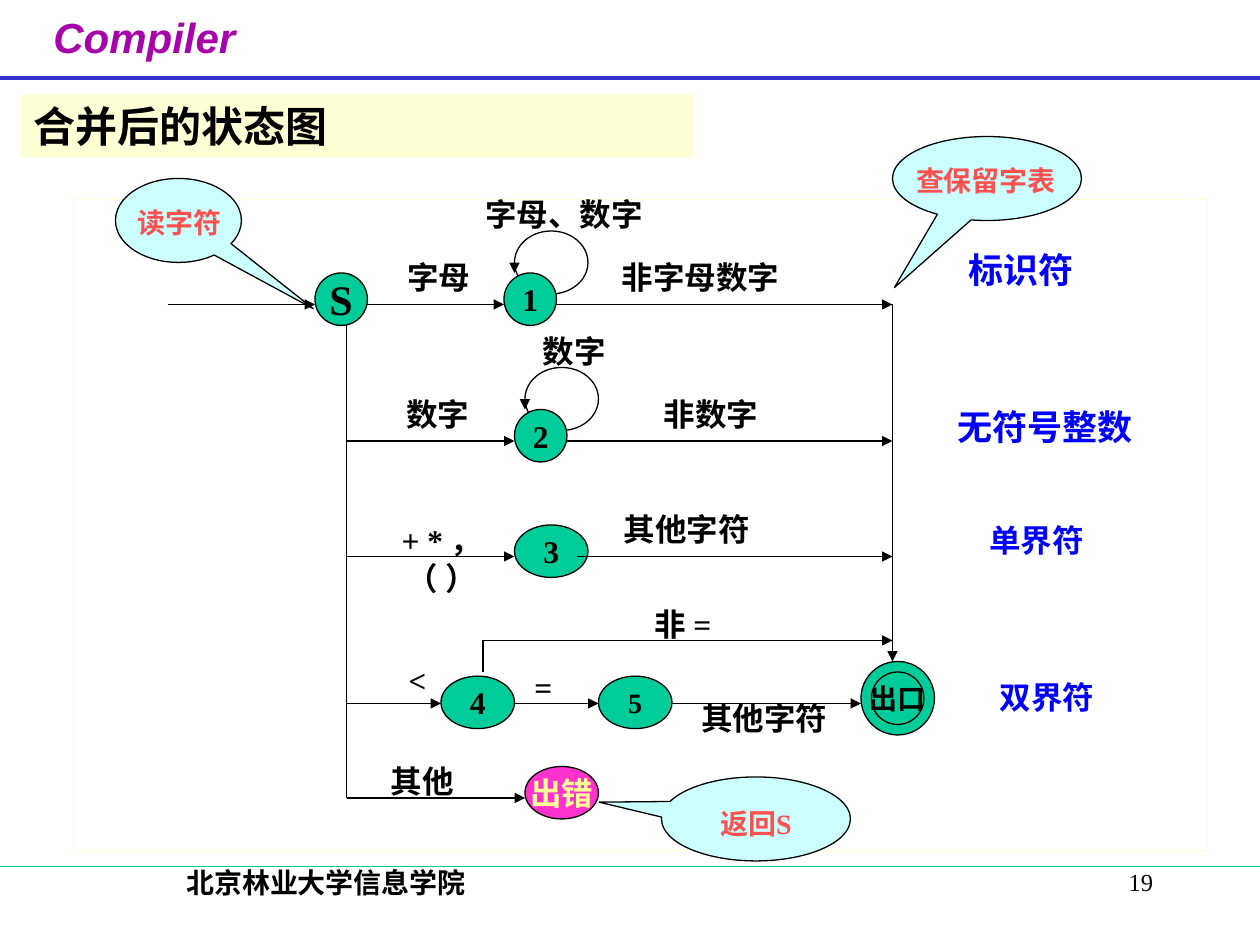
from typing import NamedTuple

from lxml import etree
from pptx import Presentation
from pptx.dml.color import RGBColor
from pptx.enum.shapes import MSO_CONNECTOR, MSO_SHAPE
from pptx.enum.text import MSO_ANCHOR, PP_ALIGN
from pptx.oxml.ns import qn
from pptx.util import Emu, Pt

PX = 7620  # 120 px to the inch
OVAL, RECT = MSO_SHAPE.OVAL, MSO_SHAPE.RECTANGLE
CALLOUT = MSO_SHAPE.OVAL_CALLOUT
STRAIGHT = MSO_CONNECTOR.STRAIGHT
LEFT, CENTER, RIGHT = PP_ALIGN.LEFT, PP_ALIGN.CENTER, PP_ALIGN.RIGHT
TOP, MIDDLE = MSO_ANCHOR.TOP, MSO_ANCHOR.MIDDLE

BLACK, GREEN, PINK, CREAM = "000000", "00CC99", "FF33CC", "FFFFD5"
BLUE, RED, CYAN, YELLOW = "0000FF", "FF5050", "CCFFFF", "FFFF99"
SERIF = "Times New Roman"


class Box(NamedTuple):
    x: int
    y: int
    w: int
    h: int


class Label(NamedTuple):
    text: str
    box: Box
    size: int = 18
    color: str = BLACK


class Node(NamedTuple):
    text: str
    box: Box
    size: int = 18
    fill: str = GREEN
    color: str = BLACK


class Line(NamedTuple):
    x1: int
    y1: int
    x2: int
    y2: int
    arrow: bool = True


class Callout(NamedTuple):
    box: Box
    tip: tuple[float, float]
    label: Label


def rgb(value: str) -> RGBColor:
    return RGBColor.from_string(value)


def emu(*lengths: int) -> list[Emu]:
    return [Emu(n * PX) for n in lengths]


def write(sp, text: str, *, size=18, color=BLACK, font=SERIF, bold=True,
          italic=False, align=CENTER, anchor=MIDDLE, wrap=False) -> None:
    tf = sp.text_frame
    tf.word_wrap = wrap
    tf.vertical_anchor = anchor
    tf.text = text
    for p in tf.paragraphs:
        p.alignment = align
        for r in p.runs:
            r.font.name, r.font.size = font, Pt(size)
            r.font.bold, r.font.italic = bold, italic
            r.font.color.rgb = rgb(color)


def add_text(s, text: str, box: Box, **fmt) -> None:
    write(s.shapes.add_textbox(*emu(*box)), text, **fmt)


def add_shape(s, kind, box: Box, fill: str | None = None, line: str | None = BLACK):
    sp = s.shapes.add_shape(kind, *emu(*box))
    sp.shadow.inherit = False
    if fill:
        sp.fill.solid()
        sp.fill.fore_color.rgb = rgb(fill)
    else:
        sp.fill.background()
    if line:
        sp.line.color.rgb = rgb(line)
        sp.line.width = Pt(0.75)
    else:
        sp.line.fill.background()
    return sp


def add_line(s, line: Line, color: str = BLACK, width: float = 0.75) -> None:
    cx = s.shapes.add_connector(STRAIGHT, *emu(*line[:4]))
    cx.line.color.rgb = rgb(color)
    cx.line.width = Pt(width)
    sp_pr = cx._element.spPr
    if line.arrow:
        etree.SubElement(sp_pr.find(qn("a:ln")), qn("a:tailEnd"), type="triangle")
    etree.SubElement(sp_pr, qn("a:effectLst"))


SPINE, EXIT = 330, 850  # x of the vertical lines leaving S and entering the exit
ROW1, ROW2, ROW3, ROW4, ROW5 = 290, 420, 530, 670, 760

LOOPS = [Box(490, 220, 70, 60), Box(500, 350, 70, 60)]
NODES = [
    Node("S", Box(300, 260, 50, 50), 24),
    Node("1", Box(480, 260, 50, 50)),
    Node("2", Box(490, 390, 50, 50)),
    Node("3", Box(490, 500, 70, 50)),
    Node("4", Box(420, 644, 70, 50)),
    Node("5", Box(570, 644, 70, 50), 16),
    Node("出口", Box(820, 630, 70, 70), 16),
    Node("出错", Box(500, 730, 70, 50), 18, PINK, YELLOW),
]
EXIT_RING = Box(830, 640, 50, 50)
LINES = [
    Line(160, ROW1, 300, ROW1), Line(350, ROW1, 480, ROW1), Line(530, ROW1, EXIT, ROW1),
    Line(SPINE, ROW2, 490, ROW2), Line(540, ROW2, EXIT, ROW2),
    Line(SPINE, ROW3, 490, ROW3), Line(550, ROW3, EXIT, ROW3),
    Line(SPINE, ROW4, 420, ROW4), Line(490, ROW4, 570, ROW4), Line(640, ROW4, 820, ROW4),
    Line(SPINE, ROW5, 500, ROW5),
    Line(490, 250, 490, 260), Line(500, 380, 500, 390),
    Line(460, 640, 460, 610, False), Line(460, 610, EXIT, 610),
    Line(SPINE, 310, SPINE, ROW5, False), Line(EXIT, ROW1, EXIT, 630),
]
LABELS = [
    Label("标识符", Box(910, 230, 124, 53), 20, BLUE),
    Label("无符号整数", Box(900, 380, 191, 53), 20, BLUE),
    Label("单界符", Box(930, 490, 114, 48), 18, BLUE),
    Label("双界符", Box(940, 640, 114, 48), 18, BLUE),
    Label("字母、数字", Box(450, 180, 174, 48)),
    Label("字母", Box(376, 240, 84, 48)),
    Label("非字母数字", Box(580, 240, 174, 48)),
    Label("数字", Box(505, 310, 84, 48)),
    Label("数字", Box(375, 370, 84, 48)),
    Label("非数字", Box(620, 370, 114, 48)),
    Label("+ * ，\n（ ）", Box(360, 490, 122, 84)),
    Label("其他字符", Box(582, 480, 144, 48)),
    Label("非 =", Box(608, 570, 85, 48)),
    Label("<", Box(377, 624, 41, 48)),
    Label("=", Box(497, 630, 41, 48)),
    Label("其他字符", Box(656, 660, 144, 48)),
    Label("其他", Box(360, 720, 84, 48)),
]
CALLOUTS = [
    Callout(Box(110, 170, 120, 80), (1.07, 1.05),
            Label("读字符", Box(106, 190, 130, 44), 16, RED)),
    Callout(Box(850, 130, 180, 80), (-0.49, 1.3),
            Label("查保留字表", Box(854, 150, 170, 44), 16, RED)),
    Callout(Box(630, 740, 180, 80), (-0.83, -0.2),
            Label("返回S", Box(660, 762, 120, 44), 16, RED)),
]


def main() -> None:
    prs = Presentation()
    prs.slide_width, prs.slide_height = emu(1200, 900)
    s = prs.slides.add_slide(prs.slide_layouts[6])

    # Header and footer
    add_text(s, "Compiler", Box(23, 5, 229, 74), size=24, color="A603AB",
             font="Arial", italic=True, anchor=TOP)
    add_line(s, Line(0, 74, 1200, 74, False), "3333CC", 2.25)
    add_text(s, "北京林业大学信息学院", Box(62, 818, 497, 60), size=16,
             anchor=TOP, wrap=True)
    add_text(s, "19", Box(860, 820, 250, 60), size=14, bold=False,
             align=RIGHT, anchor=TOP, wrap=True)
    add_line(s, Line(0, 825, 1200, 825, False), GREEN)

    # State diagram
    add_shape(s, RECT, Box(70, 190, 1080, 620), line=CREAM)
    for loop in LOOPS:
        add_shape(s, OVAL, loop)
    for node in NODES:
        sp = add_shape(s, OVAL, node.box, node.fill)
        write(sp, node.text, size=node.size, color=node.color)
    add_shape(s, OVAL, EXIT_RING)
    for line in LINES:
        add_line(s, line)
    for label in LABELS:
        add_text(s, label.text, label.box, size=label.size, color=label.color)

    # Callouts
    for callout in CALLOUTS:
        sp = add_shape(s, CALLOUT, callout.box, CYAN)
        sp.adjustments[0], sp.adjustments[1] = callout.tip
        label = callout.label
        add_text(s, label.text, label.box, size=label.size, color=label.color, anchor=TOP)

    # Slide heading
    heading = add_shape(s, RECT, Box(20, 90, 640, 60), CREAM, None)
    write(heading, "合并后的状态图", size=24, font="Noto Sans CJK SC",
          align=LEFT, anchor=TOP, wrap=True)

    prs.save("out.pptx")


if __name__ == "__main__":
    main()
